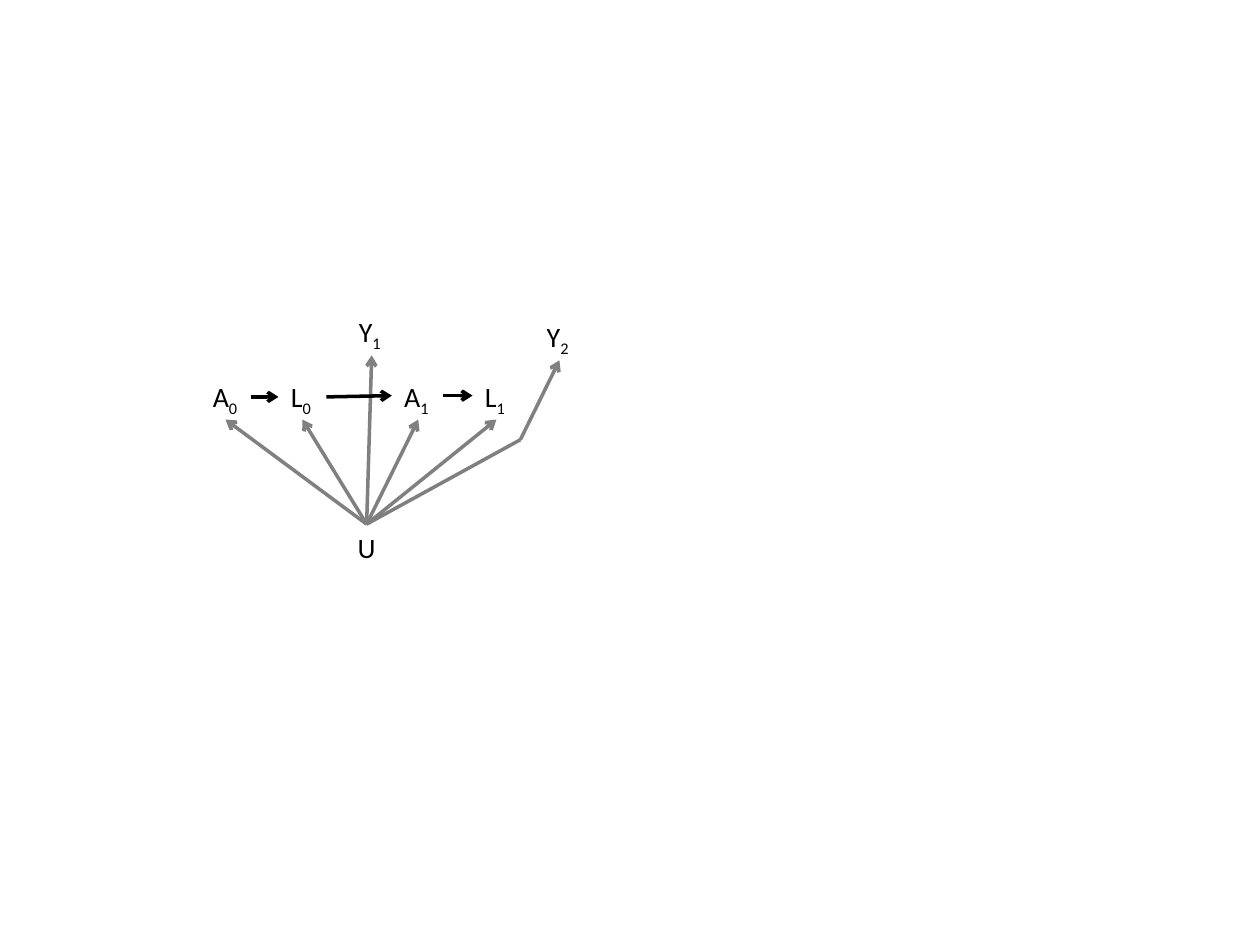
from dataclasses import dataclass

from lxml import etree
from pptx import Presentation
from pptx.dml.color import RGBColor
from pptx.enum.shapes import MSO_CONNECTOR
from pptx.enum.text import MSO_AUTO_SIZE
from pptx.oxml.ns import qn
from pptx.util import Inches, Pt

STRAIGHT = MSO_CONNECTOR.STRAIGHT
FIT_SHAPE = MSO_AUTO_SIZE.SHAPE_TO_FIT_TEXT
BLACK, GRAY = "000000", "808080"
NODE_HEIGHT = 0.37
BLANK_LAYOUT = 6


@dataclass(frozen=True)
class Node:
    """A variable of the causal diagram, placed by its top left corner."""
    letter: str
    index: str
    left: float
    top: float
    width: float


@dataclass(frozen=True)
class Edge:
    """A straight link between two points, with or without an arrowhead."""
    start: tuple[float, float]
    end: tuple[float, float]
    color: str = GRAY
    arrow: bool = True


def rgb(color: str) -> RGBColor:
    """Turn a hex string into a colour."""
    return RGBColor.from_string(color)


def draw_node(slide, node: Node) -> None:
    """Write a variable's letter with its subscript index."""
    label = slide.shapes.add_textbox(
        Inches(node.left), Inches(node.top), Inches(node.width), Inches(NODE_HEIGHT))
    frame = label.text_frame
    frame.word_wrap = False
    frame.auto_size = FIT_SHAPE
    paragraph = frame.paragraphs[0]
    paragraph.text = node.letter
    if node.index:
        subscript = paragraph.add_run()
        subscript.text = node.index
        subscript.font._element.set("baseline", "-25000")
    for run in paragraph.runs:
        run.font.name = "Calibri"
        run.font.size = Pt(16)
        run.font.color.rgb = rgb(BLACK)


def draw_edge(slide, edge: Edge) -> None:
    """Draw a link as a connector without a shadow."""
    points = [Inches(value) for value in (*edge.start, *edge.end)]
    link = slide.shapes.add_connector(STRAIGHT, *points)
    link.line.width = Pt(2)
    link.line.color.rgb = rgb(edge.color)
    if edge.arrow:
        etree.SubElement(link.line._get_or_add_ln(), qn("a:tailEnd"), type="arrow")
    etree.SubElement(link._element.spPr, qn("a:effectLst"))


ROW_TOP = 2.96
NODES = [
    Node("U", "", 2.74, 4.16, 0.35),
    Node("A", "0", 1.59, ROW_TOP, 0.41),
    Node("L", "0", 2.21, ROW_TOP, 0.37),
    Node("A", "1", 3.11, ROW_TOP, 0.41),
    Node("L", "1", 3.75, ROW_TOP, 0.37),
    Node("Y", "1", 2.75, 2.45, 0.39),
    Node("Y", "2", 4.24, 2.49, 0.39),
]

U_TOP = (2.91, 4.16)
Y2_BEND = (4.13, 3.49)
ROW_BOTTOM = ROW_TOP + NODE_HEIGHT
U_TARGETS = [(1.79, ROW_BOTTOM), (2.4, ROW_BOTTOM), (2.95, 2.82),
             (3.32, ROW_BOTTOM), (3.94, ROW_BOTTOM)]
EDGES = [
    *(Edge(U_TOP, target) for target in U_TARGETS),
    Edge(Y2_BEND, (4.44, 2.86)),
    Edge((1.99, 3.15), (2.21, 3.15), BLACK),
    Edge((2.59, 3.15), (3.11, 3.14), BLACK),
    Edge((3.52, 3.14), (3.75, 3.14), BLACK),
    Edge(Y2_BEND, U_TOP, "7F7F7F", arrow=False),
]


def main() -> None:
    """Build the diagram slide and save it."""
    deck = Presentation()
    deck.slide_width, deck.slide_height = Inches(10), Inches(7.5)
    slide = deck.slides.add_slide(deck.slide_layouts[BLANK_LAYOUT])
    for node in NODES:
        draw_node(slide, node)
    for edge in EDGES:
        draw_edge(slide, edge)
    deck.save("out.pptx")


main()
